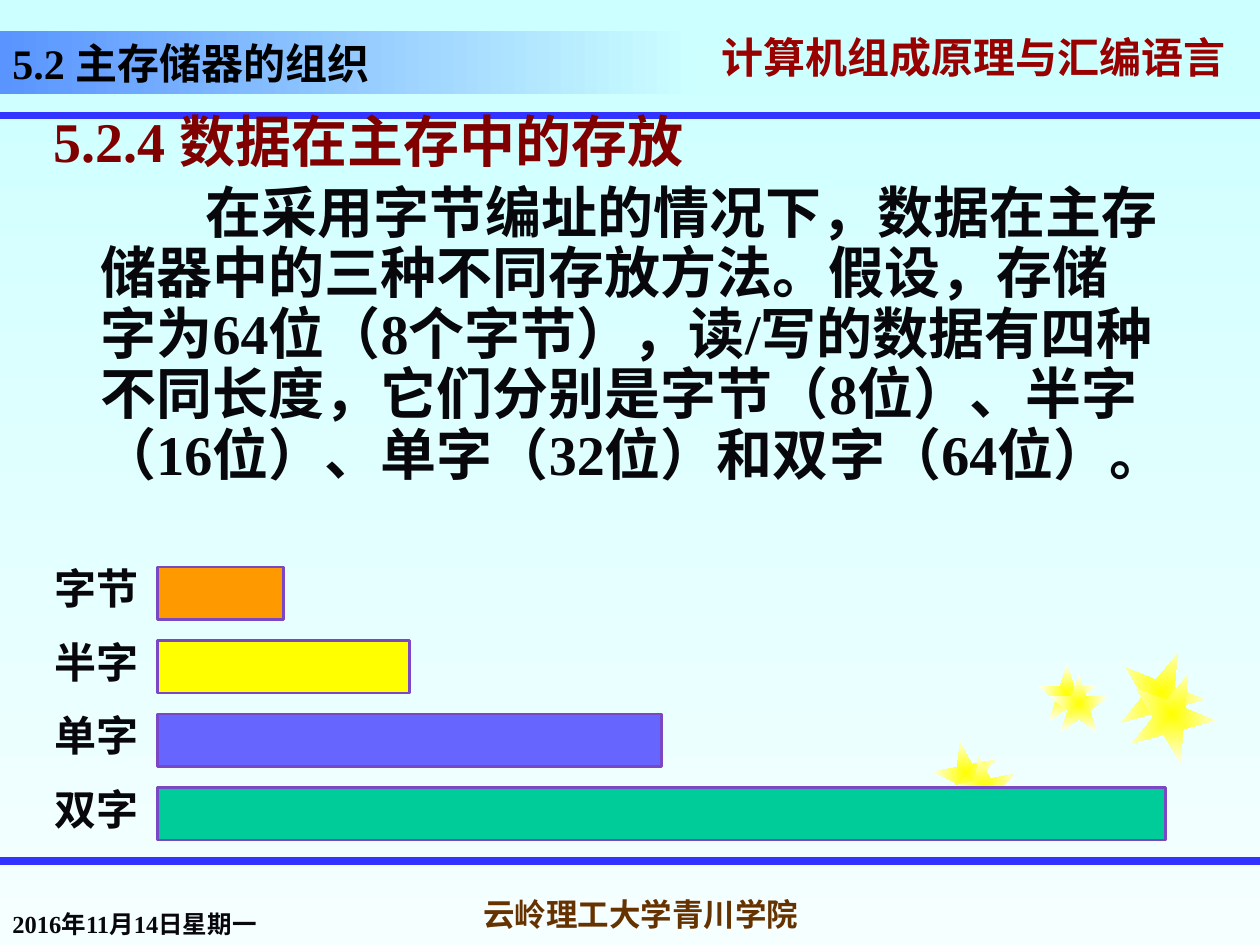
from lxml import etree
from pptx import Presentation
from pptx import util as u
from pptx.dml.color import RGBColor
from pptx.enum import shapes, text
from pptx.oxml.ns import qn

PX = 9525  # EMU in one px, 96 px to the inch
SERIF, SANS = "Times New Roman", "Noto Sans CJK SC"
INK, BLUE, VIOLET = "08080C", "3333FF", "7A48C4"


def write(box, content, size=24, color=INK, font=SANS, anchor="TOP", align="LEFT",
          spacing=None, before=0, margin=0, indent=0, wrap=True, new=False):
    """Add one bold paragraph, given as a string or as (string, font) pairs."""
    frame = box.text_frame
    frame.word_wrap = wrap
    frame.vertical_anchor = getattr(text.MSO_ANCHOR, anchor)
    para = frame.add_paragraph() if new else frame.paragraphs[0]
    para.alignment = getattr(text.PP_ALIGN, align)
    para.space_before = u.Pt(before)
    if spacing:
        para.line_spacing = spacing
    if margin:
        props = para._p.get_or_add_pPr()
        props.set("marL", str(margin * PX))
        props.set("indent", str(indent * PX))
    for words, face in [(content, font)] if isinstance(content, str) else content:
        span = para.add_run()
        span.text = words
        span.font.size, span.font.bold = u.Pt(size), True
        span.font.color.rgb = RGBColor.from_string(color)
        span.font.name = face
        etree.SubElement(span._r.get_or_add_rPr(), qn("a:ea"), typeface=SANS)
    return para


def blend(fill, start, end, angle=0):
    """Fill with a two-stop gradient; an angle of None spreads it from the centre."""
    fill.gradient()
    for stop, color in zip(fill.gradient_stops, (start, end)):
        stop.color.rgb = RGBColor.from_string(color)
    if angle is not None:
        fill.gradient_angle = angle


deck = Presentation()
deck.slide_width, deck.slide_height = 960 * PX, 720 * PX
page = deck.slides.add_slide(deck.slide_layouts[6])
blend(page.background.fill, "CCFFFF", "F5FFFF", 270)

# Course name with a text shadow
course = page.shapes.add_textbox(540 * PX, 24 * PX, 420 * PX, 48 * PX)
para = write(course, "计算机组成原理与汇编语言", color="990000", anchor="MIDDLE", spacing=0.7)
effects = etree.Element(qn("a:effectLst"))
shadow = etree.SubElement(effects, qn("a:outerShdw"), dist="38100", dir="2700000")
etree.SubElement(shadow, qn("a:srgbClr"), val="808080")
para.runs[0]._r.rPr.find(qn("a:solidFill")).addnext(effects)

# Rules above and below the content
for y in (88, 656):
    rule = page.shapes.add_connector(shapes.MSO_CONNECTOR.STRAIGHT, 0, y * PX, 960 * PX, y * PX)
    rule.line.color.rgb = RGBColor.from_string(BLUE)
    rule.line.width = u.Pt(4.5)
    etree.SubElement(rule._element.spPr, qn("a:effectLst"))

# Stars
for x, y, side, turn in [(712, 565, 48, 349), (791, 506, 44, 0), (853, 496, 64, 22),
                         (726, 576, 48, 349), (800, 514, 44, 0), (861, 512, 64, 22)]:
    star = page.shapes.add_shape(shapes.MSO_SHAPE.STAR_5_POINT, x * PX, y * PX, side * PX, side * PX)
    star.rotation = turn
    star.shadow.inherit = False
    star.line.fill.background()
    blend(star.fill, "FFFF00", "FFFFF5", None)
    gradient = star._element.spPr.find(qn("a:gradFill"))
    linear = gradient.find(qn("a:lin"))
    if linear is not None:
        gradient.remove(linear)
    spread = etree.Element(qn("a:path"), path="shape")
    etree.SubElement(spread, qn("a:fillToRect"), l="50000", t="50000", r="50000", b="50000")
    gradient.find(qn("a:gsLst")).addnext(spread)

# Footer
date = page.shapes.add_textbox(0, 672 * PX, 215 * PX, 48 * PX)
write(date, "2016年11月14日星期一", size=14, font=SERIF, anchor="BOTTOM")
school = page.shapes.add_textbox(336 * PX, 672 * PX, 304 * PX, 48 * PX)
write(school, "云岭理工大学青川学院", size=18, color="663300", font=SERIF,
      anchor="MIDDLE", align="CENTER", wrap=False)

# Section title
title = page.shapes.add_shape(shapes.MSO_SHAPE.RECTANGLE, 0, 24 * PX, 528 * PX, 48 * PX)
title.shadow.inherit = False
title.line.fill.background()
blend(title.fill, "5994FF", "CCFFFF")
write(title, [("5.2 ", SERIF), ("主存储器的组织", SANS)], color="000000", anchor="BOTTOM")

# Heading and body text
body = page.shapes.add_textbox(31 * PX, 82 * PX, 866 * PX, 374 * PX)
write(body, "5.2.4 数据在主存中的存放", size=32, color="800000", font=SERIF,
      spacing=0.9, before=6, margin=36, indent=-36)
write(body, "在采用字节编址的情况下，数据在主存储器中的三种不同存放方法。假设，存储字为64位"
      "（8个字节），读/写的数据有四种不同长度，它们分别是字节（8位）、半字（16位）、"
      "单字（32位）和双字（64位）。",
      size=32, font=SERIF, spacing=0.9, before=6, margin=36, indent=80, new=True)

# Data lengths: each bar is twice as long as the one above
lengths = [("字节", "FF9900"), ("半字", "FFFF00"), ("单字", "6666FF"), ("双字", "00CC99")]
for row, (name, color) in enumerate(lengths):
    top = 432 + 56 * row
    bar = page.shapes.add_shape(shapes.MSO_SHAPE.RECTANGLE,
                                120 * PX, top * PX, 96 * 2 ** row * PX, 40 * PX)
    bar.shadow.inherit = False
    bar.fill.solid()
    bar.fill.fore_color.rgb = RGBColor.from_string(color)
    bar.line.color.rgb = RGBColor.from_string(VIOLET)
    bar.line.width = u.Pt(1.5)
    label = page.shapes.add_textbox(32 * PX, (top - 8) * PX, 144 * PX, 48 * PX)
    write(label, name)

deck.save("out.pptx")
